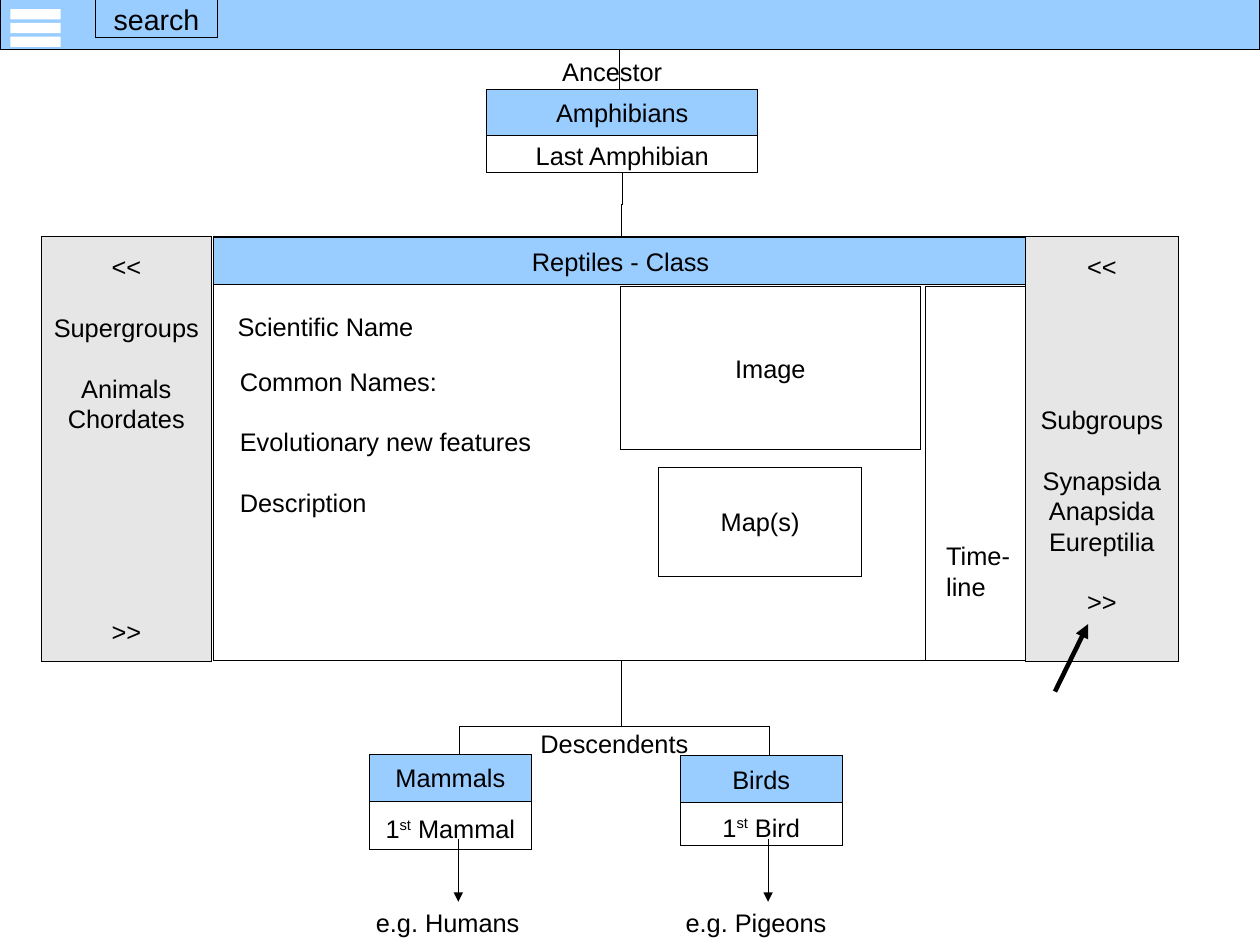
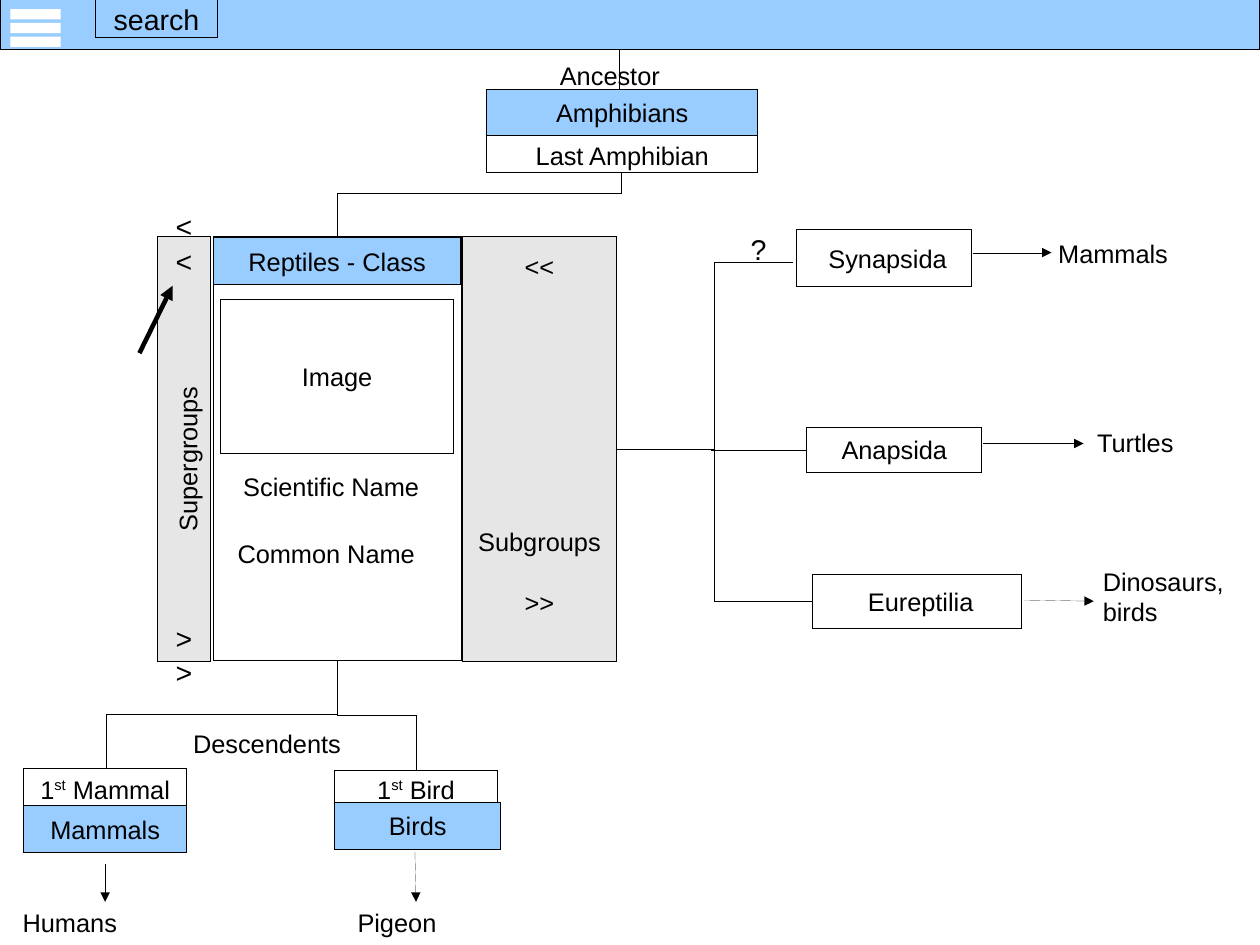
"""Build two wireframe slides of an evolutionary tree browser."""
from dataclasses import dataclass
from typing import NamedTuple, Optional

from lxml.etree import SubElement
from pptx import Presentation
from pptx.dml.color import RGBColor
from pptx.enum.shapes import MSO_CONNECTOR, MSO_SHAPE
from pptx.enum.text import MSO_ANCHOR, MSO_AUTO_SIZE, PP_ALIGN
from pptx.oxml.ns import qn
from pptx.util import Cm, Inches, Pt

SLIDE_WIDTH, SLIDE_HEIGHT = Cm(28), Cm(21)
COLUMNS = 110.2
BLUE, GREY, WHITE, BLACK = "99CCFF", "E6E6E6", "FFFFFF", "000000"
FONT = "Arial"
HAIRLINE = 0.01
BLANK_LINE = 1.2
BRANCH_STEP = 27.2
BAR_TOP, BAR_HEIGHT = 20.7, 37.2
HEADER_HEIGHT = 4.1


class Place(NamedTuple):
    left: float
    top: float
    width: float
    height: float


class Point(NamedTuple):
    column: float
    row: float


class Para(NamedTuple):
    text: str
    blank_lines: int = 0


@dataclass(frozen=True)
class Box:
    place: Place
    paras: tuple = ()
    fill: Optional[str] = None
    outlined: bool = True
    size: int = 16
    align: PP_ALIGN = PP_ALIGN.CENTER
    anchor: MSO_ANCHOR = MSO_ANCHOR.MIDDLE
    inset_left: float = 1
    inset_top: float = 0.5
    rotation: float = 0


@dataclass(frozen=True)
class Card:
    name: str
    example: str
    header: Place
    body: Place
    anchor: MSO_ANCHOR = MSO_ANCHOR.BOTTOM
    inset: float = 0.5


@dataclass(frozen=True)
class Wire:
    start: Point
    end: Point
    arrow: bool = False
    weight: float = HAIRLINE
    bend: Optional[float] = None
    vertical: bool = False


def cells(count: float) -> int:
    return Inches(count / 10)


def color(value: str) -> RGBColor:
    return RGBColor.from_string(value)


def label(text: str, left: float, top: float, width: float = 16.7, **options) -> Box:
    return Box(Place(left, top, width, 3.5), (Para(text),), outlined=False,
               align=options.pop("align", PP_ALIGN.LEFT),
               anchor=MSO_ANCHOR.TOP, **options)


def sidebar(left: float, width: float, *paras: Para) -> Box:
    return Box(Place(left, BAR_TOP, width, BAR_HEIGHT), paras, GREY,
               anchor=MSO_ANCHOR.TOP, inset_top=1.3)


def write(shape, box: Box) -> None:
    frame = shape.text_frame
    frame.auto_size = MSO_AUTO_SIZE.NONE
    frame.word_wrap = True
    frame.vertical_anchor = box.anchor
    frame.margin_left, frame.margin_right = cells(box.inset_left), cells(1)
    frame.margin_top = frame.margin_bottom = cells(box.inset_top)
    for index, para in enumerate(box.paras):
        paragraph = frame.add_paragraph() if index else frame.paragraphs[0]
        paragraph.alignment = box.align
        if para.blank_lines:
            paragraph.space_before = Pt(round(para.blank_lines * box.size * BLANK_LINE))
        for order, piece in enumerate(para.text.split("^")):
            span = paragraph.add_run()
            span.text = piece
            span.font.name, span.font.size = FONT, Pt(box.size)
            span.font.color.rgb = color(BLACK)
            if order % 2:
                span._r.get_or_add_rPr().set("baseline", "33000")


def style(shape, box: Box) -> None:
    shape.shadow.inherit = False
    if box.fill:
        shape.fill.solid()
        shape.fill.fore_color.rgb = color(box.fill)
    else:
        shape.fill.background()
    if box.outlined:
        shape.line.color.rgb = color(BLACK)
        shape.line.width = Pt(HAIRLINE)
    else:
        shape.line.fill.background()
    shape.rotation = box.rotation
    if box.paras:
        write(shape, box)


def draw_box(page, box: Box) -> None:
    place = [cells(length) for length in box.place]
    if box.fill or box.outlined:
        shape = page.shapes.add_shape(MSO_SHAPE.RECTANGLE, *place)
    else:
        shape = page.shapes.add_textbox(*place)
    style(shape, box)


def draw_title(page, box: Box) -> None:
    title = page.shapes.title
    title.left, title.top, title.width, title.height = map(cells, box.place)
    style(title, box)
    title.element.getparent().append(title.element)


def draw_card(page, card: Card) -> None:
    draw_box(page, Box(card.body, (Para(card.example),), WHITE,
                       anchor=card.anchor, inset_top=card.inset))
    draw_box(page, Box(card.header, (Para(card.name),), BLUE))


def draw_wire(page, wire: Wire) -> None:
    start, end = wire.start, wire.end
    if wire.vertical:
        middle = Point((start.column + end.column) / 2, (start.row + end.row) / 2)
        across, down = (end.column - start.column) / 2, (end.row - start.row) / 2
        start = Point(middle.column - down, middle.row + across)
        end = Point(middle.column + down, middle.row - across)
    kind = MSO_CONNECTOR.STRAIGHT if wire.bend is None else MSO_CONNECTOR.ELBOW
    connector = page.shapes.add_connector(kind, *map(cells, (*start, *end)))
    connector.line.color.rgb = color(BLACK)
    connector.line.width = Pt(wire.weight)
    properties = connector._element.spPr
    if wire.vertical:
        properties.find(qn("a:xfrm")).set("rot", "5400000")
    if wire.bend is not None:
        geometry = properties.find(qn("a:prstGeom"))
        values = geometry.find(qn("a:avLst"))
        if values is None:
            values = SubElement(geometry, qn("a:avLst"))
        SubElement(values, qn("a:gd"), name="adj1", fmla=f"val {round(wire.bend * 100000)}")
    if wire.arrow:
        SubElement(properties.find(qn("a:ln")), qn("a:tailEnd"), type="triangle")
    SubElement(properties, qn("a:effectLst"))


def draw_all(page, *items) -> None:
    painters = {Box: draw_box, Card: draw_card, Wire: draw_wire}
    for item in items:
        painters[type(item)](page, item)


def add_page(deck, panel_width: float, title_width: float, ancestor: Box):
    page = deck.slides.add_slide(deck.slide_layouts[5])
    draw_all(
        page,
        Box(Place(0, 0, COLUMNS, 4.3), fill=BLUE),
        Box(Place(8.4, 0, 10.6, 3.3), (Para("search"),), BLUE, size=18),
        *(Box(Place(0.9, 0.8 + 1.2 * row, 4.4, 0.9), fill=WHITE, outlined=False)
          for row in range(3)),
        Wire(Point(54.2, 4.3), Point(54.2, 9)),
        ancestor,
        Card("Amphibians", "Last Amphibian", Place(42.6, 7.8, 23.7, HEADER_HEIGHT),
             Place(42.6, 9.2, 23.7, 5.9), inset=0.2),
        Box(Place(18.7, BAR_TOP, panel_width, 37.1), fill=WHITE),
    )
    draw_title(page, Box(Place(18.7, 20.8, title_width, HEADER_HEIGHT),
                         (Para("Reptiles - Class"),), BLUE))
    return page


def add_detail_page(deck) -> None:
    page = add_page(deck, 71.4, 71.2, label("Ancestor", 48.2, 4.4, 14.9))
    left, right = 32.3, 32.3 + BRANCH_STEP
    trunk = Point(54.4, 57.8)
    draw_all(
        page,
        Wire(Point(54.5, 15.1), Point(54.4, 20.7), bend=0.5, vertical=True),
        Wire(trunk, Point(40.2, 67.4), bend=0.6, vertical=True),
        Wire(trunk, Point(67.3, 67.4), bend=0.6, vertical=True),
        Box(Place(54.3, 25.1, 26.2, 14.2), (Para("Image"),)),
        Box(Place(57.6, 40.9, 17.8, 9.5), (Para("Map(s)"),)),
        Box(Place(81, 25.1, 8.8, 32.7)),
        Box(Place(81.8, 46.8, 8.5, 6), (Para("Time-"), Para("line")), outlined=False,
            align=PP_ALIGN.LEFT, anchor=MSO_ANCHOR.TOP),
        label("Scientific Name", 19.8, 26.7, 29),
        Box(Place(20, 31.5, 37.1, 15.9),
            (Para("Common Names:"), Para("Evolutionary new features", 1),
             Para("Description", 1)),
            outlined=False, align=PP_ALIGN.LEFT, anchor=MSO_ANCHOR.TOP),
        sidebar(3.6, 14.9, Para("<<"), Para("Supergroups", 1), Para("Animals", 1),
                Para("Chordates"), Para(">>", 6)),
        sidebar(89.7, 13.4, Para("<<"), Para("Subgroups", 4), Para("Synapsida", 1),
                Para("Anapsida"), Para("Eureptilia"), Para(">>", 1)),
        Wire(Point(92.3, 60.5), Point(95.2, 54.6), arrow=True, weight=2.89),
        label("Descendents", 46.3, 63.2, 17.8),
        Card("Mammals", "1^st^ Mammal", Place(left, 66, 14.2, HEADER_HEIGHT),
             Place(left, 67.7, 14.2, 6.6)),
        Card("Birds", "1^st^ Bird", Place(right, 66.1, 14.2, HEADER_HEIGHT),
             Place(right, 67.9, 14.2, 6.1), inset=0.3),
        Wire(Point(40.1, 73.4), Point(40.1, 78.9), arrow=True),
        Wire(Point(67.2, 73.4), Point(67.2, 78.9), arrow=True),
        label("e.g. Humans", 31.9, 78.9),
        label("e.g. Pigeons", 59, 78.9),
    )


def add_subgroup_page(deck) -> None:
    page = add_page(deck, 21.7, 21.6, label("Ancestor", 48, 4.8, 14.9))
    left, right = 2.1, 2.1 + BRANCH_STEP
    trunk, hub = Point(29.5, 57.8), Point(53.9, 39.3)
    draw_all(
        page,
        Wire(Point(54.4, 15.1), Point(29.5, 20.7), bend=0.32, vertical=True),
        Wire(trunk, Point(9.3, 67.2), bend=0.5, vertical=True),
        Wire(trunk, Point(36.4, 67.4), bend=0.5, vertical=True),
        Box(Place(19.3, 26.2, 20.4, 13.5), (Para("Image"),)),
        label("Scientific Name", 20.3, 40.7, 19.3),
        label("Common Name", 19.8, 46.6, 19.3),
        Box(Place(13.8, BAR_TOP, 4.6, BAR_HEIGHT), (Para("<<"), Para(">>", 10)), GREY, size=18),
        label("Supergroups", 8.2, 38.4, 16.2, align=PP_ALIGN.CENTER, rotation=270),
        sidebar(40.5, 13.4, Para("<<"), Para("Subgroups", 8), Para(">>", 1)),
        Wire(Point(12.2, 30.9), Point(15.1, 25), arrow=True, weight=2.89),
        Wire(hub, Point(69.3, 23), bend=0.56),
        Wire(hub, Point(70.6, 39.4), bend=0.5),
        Wire(hub, Point(71.1, 52.6), bend=0.5),
        label("?", 64.7, 19.8, 3.4, size=18),
        Box(Place(69.7, 20.1, 15.3, 5), (Para("Synapsida"),), inset_left=1.6),
        Box(Place(70.6, 37.4, 15.3, 3.9), (Para("Anapsida"),)),
        Box(Place(71.1, 50.3, 18.3, 4.7), (Para("Eureptilia"),), inset_left=1.6),
        Wire(Point(85.1, 22.1), Point(92, 22.1), arrow=True),
        Wire(Point(86, 38.8), Point(94.8, 38.8), arrow=True),
        Wire(Point(89.6, 52.5), Point(95.7, 52.6), arrow=True),
        label("Mammals", 91.6, 20.3),
        label("Turtles", 95, 36.9, 15),
        label("Dinosaurs, birds", 95.5, 49, 14.7),
        label("Descendents", 15.9, 63.2, 17.8),
        Card("Mammals", "1^st^ Mammal", Place(left, 70.5, 14.2, HEADER_HEIGHT),
             Place(left, 67.2, 14.2, 6.6), MSO_ANCHOR.TOP),
        Card("Birds", "1^st^ Bird", Place(right, 70.2, 14.5, HEADER_HEIGHT),
             Place(right, 67.4, 14.2, 6.1), MSO_ANCHOR.TOP, inset=0.3),
        Wire(Point(9.2, 75.6), Point(9.2, 78.9), arrow=True),
        Wire(Point(36.3, 74.5), Point(36.4, 78.9), arrow=True),
        label("Humans", 1, 78.9),
        label("Pigeon", 30.3, 78.9),
    )


def main() -> None:
    deck = Presentation()
    deck.slide_width, deck.slide_height = SLIDE_WIDTH, SLIDE_HEIGHT
    add_detail_page(deck)
    add_subgroup_page(deck)
    deck.save("out.pptx")


if __name__ == "__main__":
    main()
